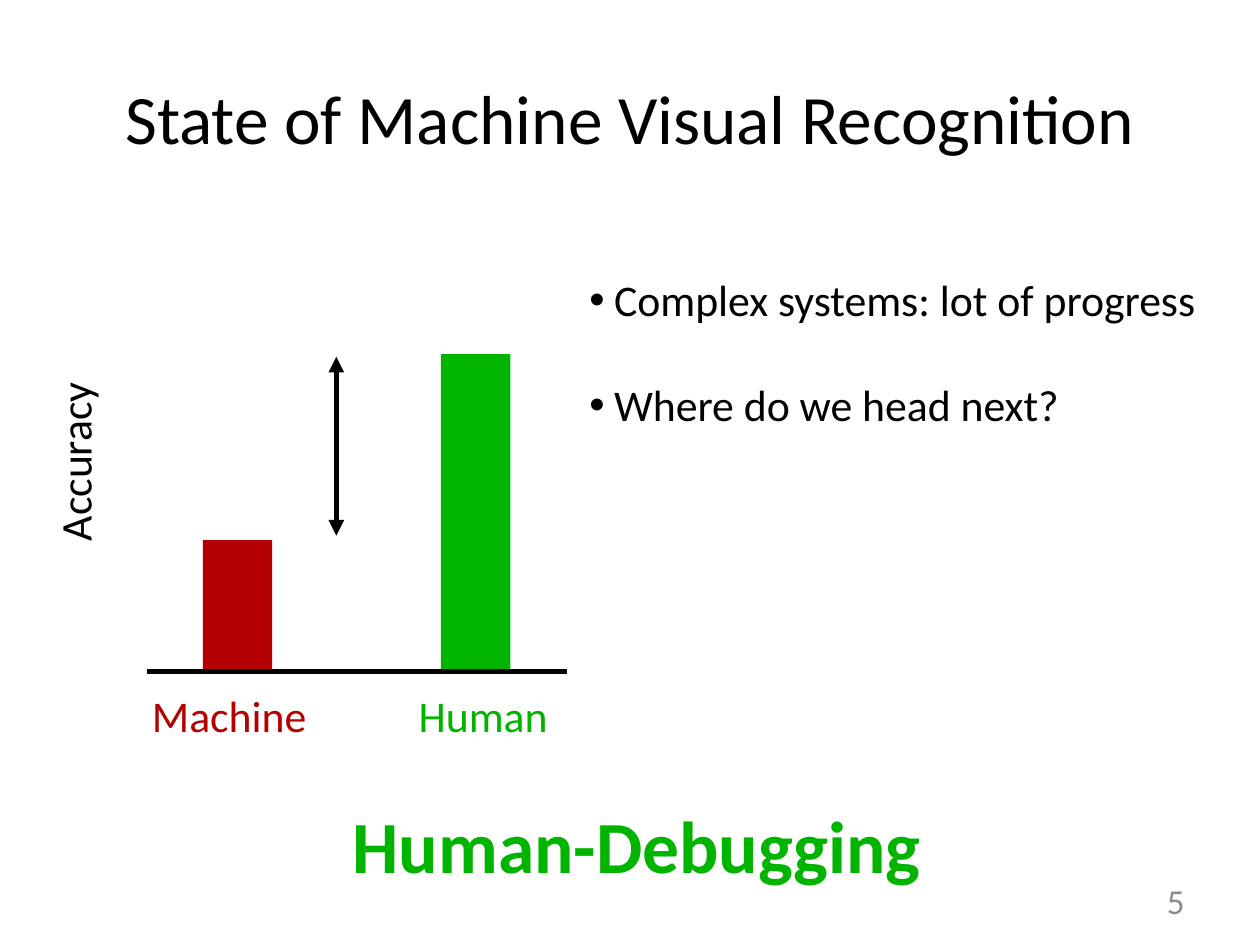
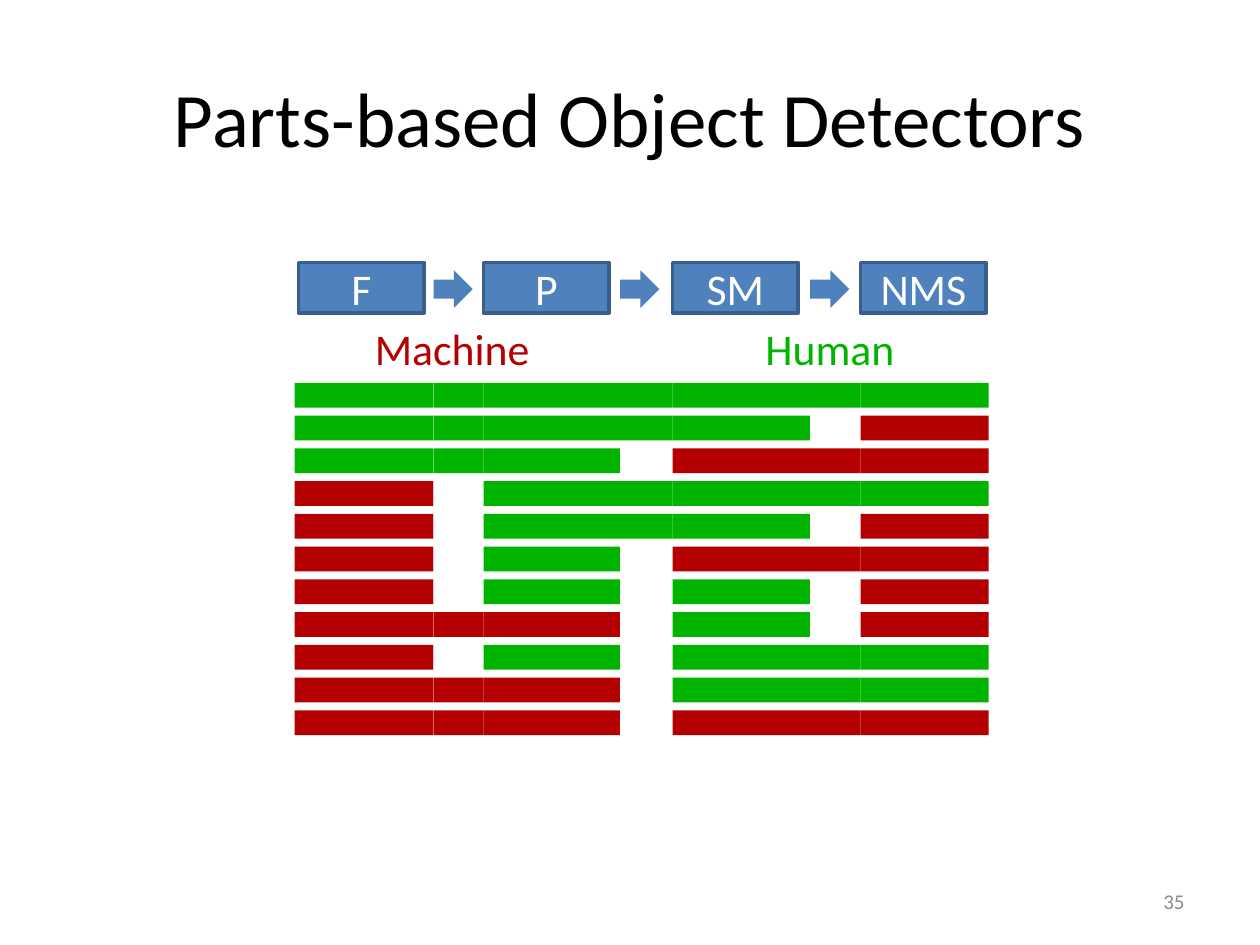
from itertools import pairwise

from lxml.etree import SubElement
from pptx import Presentation
from pptx.dml.color import RGBColor
from pptx.enum.shapes import MSO_CONNECTOR, MSO_SHAPE
from pptx.enum.text import MSO_ANCHOR, PP_ALIGN
from pptx.oxml.ns import qn
from pptx.util import Cm, Pt

BLACK = RGBColor(0x00, 0x00, 0x00)
WHITE = RGBColor(0xFF, 0xFF, 0xFF)
GREY = RGBColor(0x8C, 0x8C, 0x8C)
RED = RGBColor(0xB4, 0x00, 0x00)
GREEN = RGBColor(0x00, 0xB4, 0x00)
BLUE = RGBColor(0x4F, 0x81, 0xBD)
DARK_BLUE = RGBColor(0x3A, 0x5F, 0x8C)
FONT = "Calibri"
BODY_SIZE = 25

# Content: accuracy slide (lengths in cm)
BULLETS = ["Complex systems: lot of progress", "Where do we head next?"]
BASELINE = 13.54
BAR_WIDTH = 1.4
BARS = [  # name, colour, bar left, bar height, label left
    ("Human", GREEN, 8.89, 6.35, 7.2),
    ("Machine", RED, 4.09, 2.6, 2.08),
]

# Content: detector slide; H = human, M = machine, - = gap
STAGES = ["F", "P", "SM", "NMS"]
LEGEND = [("Machine", RED, 5.94, 6.35), ("Human", GREEN, 13.13, 7.2)]
EDGES = [5.94, 8.74, 9.75, 12.5, 13.56, 16.33, 17.35, 19.93]
COMBINATIONS = [
    "HHHHHHH",
    "HHHHH-M",
    "HHH-MMM",
    "M-HHHHH",
    "M-HHH-M",
    "M-H-MMM",
    "M-H-H-M",
    "MMM-H-M",
    "M-H-HHH",
    "MMM-HHH",
    "MMM-MMM",
]
CELL_COLORS = {"H": GREEN, "M": RED, "-": WHITE}
ROW_TOP, ROW_PITCH, ROW_HEIGHT = 7.72, 0.66, 0.5


def style(p, size, color, align=PP_ALIGN.CENTER, bold=False):
    p.alignment = align
    for r in p.runs:
        r.font.name, r.font.size, r.font.bold = FONT, Pt(size), bold
        r.font.color.rgb = color


def add_text(slide, text, box, size=BODY_SIZE, color=BLACK,
             anchor=MSO_ANCHOR.MIDDLE, **kw):
    tf = slide.shapes.add_textbox(*map(Cm, box)).text_frame
    tf.word_wrap = True
    tf.vertical_anchor = anchor
    tf.text = text
    for p in tf.paragraphs:
        style(p, size, color, **kw)
    return tf


def add_block(slide, box, fill, kind=MSO_SHAPE.RECTANGLE):
    sp = slide.shapes.add_shape(kind, *map(Cm, box))
    sp.shadow.inherit = False
    sp.fill.solid()
    sp.fill.fore_color.rgb = fill
    sp.line.fill.background()
    return sp


def add_line(slide, *ends, arrows=False):
    line = slide.shapes.add_connector(MSO_CONNECTOR.STRAIGHT, *map(Cm, ends))
    line.line.color.rgb = BLACK
    line.line.width = Pt(3)
    if arrows:
        ln = line.line._get_or_add_ln()
        for end in ("a:headEnd", "a:tailEnd"):
            SubElement(ln, qn(end), type="triangle")
    SubElement(line._element.spPr, qn("a:effectLst"))


def add_slide(prs, title, title_size, number, number_size):
    slide = prs.slides.add_slide(prs.slide_layouts[5])
    sp = slide.shapes.title
    sp.left, sp.top, sp.width, sp.height = map(Cm, (1.27, 0.76, 22.86, 3.18))
    tf = sp.text_frame
    tf.vertical_anchor = MSO_ANCHOR.MIDDLE
    tf.text = title
    style(tf.paragraphs[0], title_size, BLACK)
    add_text(slide, number, (18.21, 17.65, 5.92, 1.02), number_size, GREY,
             align=PP_ALIGN.RIGHT)
    return slide


def accuracy_slide(prs):
    slide = add_slide(prs, "State of Machine Visual Recognition", 39.6, "5", 20)

    # Bars, axis and the gap between them
    add_line(slide, 2.97, BASELINE, 11.43, BASELINE)
    for name, color, left, height, label_left in BARS:
        add_block(slide, (left, BASELINE - 0.05 - height, BAR_WIDTH, height), color)
        add_text(slide, name, (label_left, 13.77, 5.08, 1.27), color=color)
    add_line(slide, 6.78, 7.19, 6.78, 10.8, arrows=True)
    tf = add_text(slide, "Accuracy", (0.84, 5.08, 1.27, 8.46),
                  anchor=MSO_ANCHOR.TOP)
    tf._txBody.bodyPr.set("vert", "vert270")

    # Bullets
    tf = add_text(slide, "\n".join(BULLETS), (11.63, 5.38, 13.77, 3.45),
                  anchor=MSO_ANCHOR.TOP, align=PP_ALIGN.LEFT)
    for i, p in enumerate(tf.paragraphs):
        if i:
            p.space_before = Pt(30)
        pPr = p._p.get_or_add_pPr()
        pPr.set("marL", str(Cm(0.5)))
        pPr.set("indent", str(-Cm(0.5)))
        SubElement(pPr, qn("a:buFont"), typeface="Arial")
        SubElement(pPr, qn("a:buChar"), char="•")

    # Conclusion
    add_text(slide, "Human-Debugging", (1.55, 16.38, 22.58, 1.27), 42, GREEN,
             bold=True)


def detectors_slide(prs):
    slide = add_slide(prs, "Parts-based Object Detectors", 44, "35", 12)

    # Pipeline: stages start at even edges, arrows at odd ones
    for name, left in zip(STAGES, EDGES[::2]):
        sp = add_block(slide, (max(left, 6.02), 5.29, 2.53, 1.02), BLUE)
        sp.line.color.rgb = DARK_BLUE
        sp.line.width = Pt(2)
        sp.text_frame.text = name
        sp.text_frame.vertical_anchor = MSO_ANCHOR.MIDDLE
        style(sp.text_frame.paragraphs[0], BODY_SIZE, WHITE)
    for left in EDGES[1:-1:2]:
        add_block(slide, (left, 5.45, 0.79, 0.76), BLUE, MSO_SHAPE.RIGHT_ARROW)

    # Legend
    for name, color, left, width in LEGEND:
        add_text(slide, name, (left, 6.6, width, 0.84), color=color)

    # Who performs each stage
    for i, row in enumerate(COMBINATIONS):
        top = ROW_TOP + i * ROW_PITCH
        for who, (left, right) in zip(row, pairwise(EDGES)):
            add_block(slide, (left, top, right - left, ROW_HEIGHT),
                      CELL_COLORS[who])


def main():
    prs = Presentation()
    prs.slide_width, prs.slide_height = Cm(25.4), Cm(19.05)
    accuracy_slide(prs)
    detectors_slide(prs)
    prs.save("out.pptx")


if __name__ == "__main__":
    main()
